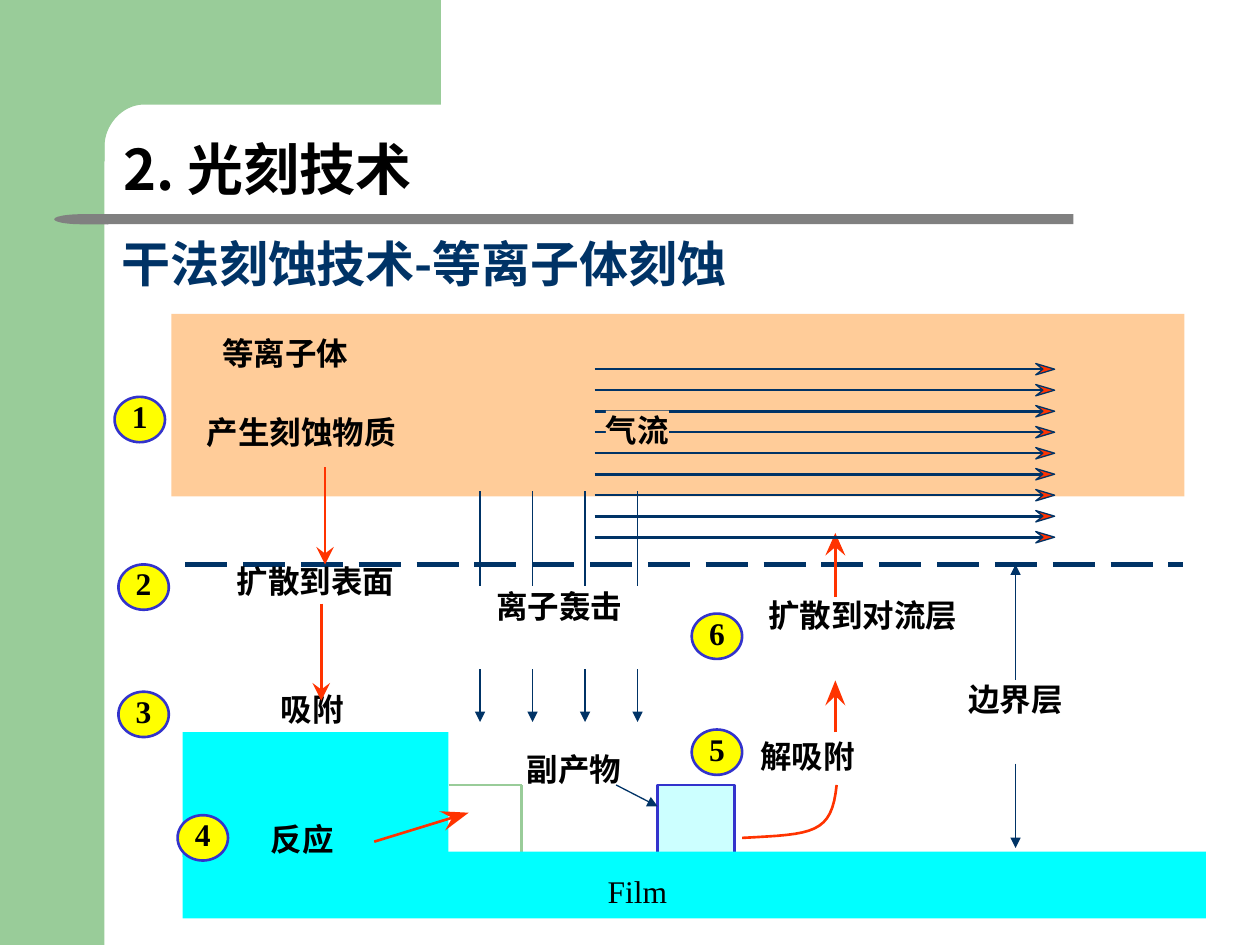
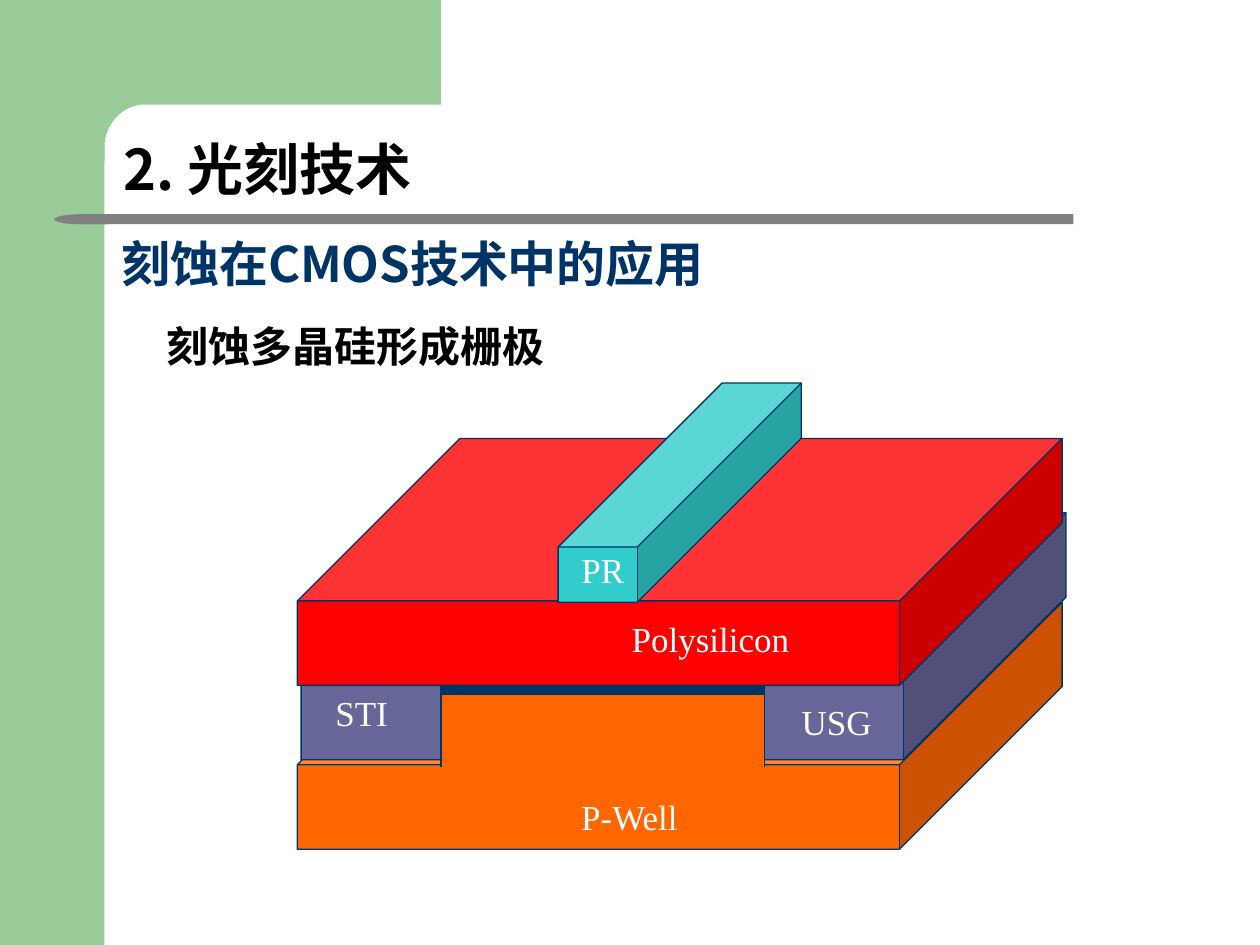
from dataclasses import dataclass
from math import hypot
from lxml.etree import SubElement
from pptx import Presentation
from pptx.dml.color import RGBColor
from pptx.enum.dml import MSO_LINE
from pptx.enum.shapes import MSO_CONNECTOR, MSO_SHAPE
from pptx.enum.text import MSO_ANCHOR, PP_ALIGN
from pptx.oxml.ns import qn
from pptx.util import Inches, Pt

WIDE, HIGH = 1000, 750  # grid columns and rows on the slide
CELL = Inches(10) // WIDE
SANS, SERIF = "Noto Sans CJK SC", "Times New Roman"
GREEN, GRAY, NAVY, RED = "99CC99", "808080", "003366", "FF3300"
PEACH, CYAN, BLUE, YELLOW = "FFCC99", "00FFFF", "3333CC", "FFFF00"
ORANGE, SLATE, BLACK, WHITE = "FF6600", "666699", "000000", "FFFFFF"
HEAD = dict(name=SANS, size=Pt(32), bold=True)
SUB = dict(name=SANS, size=Pt(28), bold=True)
BODY = dict(name=SANS, size=Pt(24), bold=True)
NOTE = dict(name=SANS, size=Pt(18), bold=True)
DIGIT = dict(name=SERIF, size=Pt(18), bold=True)
PLAIN = dict(name=SERIF, size=Pt(18))
LAYER = dict(name=SERIF, size=Pt(20))


def rgb(code):
    return RGBColor.from_string(code)


def paint(shape, fill=None, line=None, width=0.75):
    if fill:
        shape.fill.solid()
        shape.fill.fore_color.rgb = rgb(fill)
    else:
        shape.fill.background()
    if line:
        shape.line.color.rgb = rgb(line)
        shape.line.width = Pt(width)
    else:
        shape.line.fill.background()


def write(shape, words, form, color, align, anchor=MSO_ANCHOR.TOP):
    frame = shape.text_frame
    frame.vertical_anchor = anchor
    para = frame.paragraphs[0]
    para.alignment = align
    run = para.add_run()
    run.text = words
    for key, value in form.items():
        setattr(run.font, key, value)
    run.font.color.rgb = rgb(color)
    SubElement(run.font._element, qn("a:ea"), typeface=SANS)
    return frame


def bend(start, pull, push, end, steps=16):
    """Points along a cubic curve."""
    points = []
    for step in range(steps + 1):
        t = step / steps
        share = ((1 - t) ** 3, 3 * t * (1 - t) ** 2, 3 * t * t * (1 - t), t ** 3)
        points.append(tuple(sum(s * p[axis] for s, p in zip(share, (start, pull, push, end)))
                            for axis in (0, 1)))
    return points


@dataclass
class Pane:
    """A region of a slide; its parts are placed from its top left corner."""
    slide: object
    x: float = 0
    y: float = 0

    def spot(self, x, y):
        return round((self.x + x) * CELL), round((self.y + y) * CELL)

    def shape(self, kind, x, y, w, h, fill=None, line=None, width=0.75):
        item = self.slide.shapes.add_shape(kind, *self.spot(x, y), w * CELL, h * CELL)
        item.shadow.inherit = False
        paint(item, fill, line, width)
        return item

    def rect(self, *args, **form):
        return self.shape(MSO_SHAPE.RECTANGLE, *args, **form)

    def label(self, words, x, y, w, h=30, form=NOTE, color=BLACK, fill=None,
              align=PP_ALIGN.CENTER):
        box = self.slide.shapes.add_textbox(*self.spot(x, y), w * CELL, h * CELL)
        paint(box, fill)
        frame = write(box, words, form, color, align)
        frame.word_wrap = False
        for side in ("left", "top", "right", "bottom"):
            setattr(frame, "margin_" + side, 0)
        return box

    def line(self, start, end, color=NAVY, width=0.75, **tips):
        """Straight line; tips may hold headEnd or tailEnd."""
        item = self.slide.shapes.add_connector(
            MSO_CONNECTOR.STRAIGHT, *self.spot(*start), *self.spot(*end))
        item.line.color.rgb = rgb(color)
        item.line.width = Pt(width)
        SubElement(item._element.spPr, qn("a:effectLst"))
        for tag, kind in tips.items():
            SubElement(item.line._get_or_add_ln(), qn("a:" + tag), type=kind)
        return item

    def trace(self, points, close=True, fill=None, line=None, width=0.75):
        spots = [self.spot(*point) for point in points]
        pen = self.slide.shapes.build_freeform(*spots[0])
        pen.add_line_segments(spots[1:], close=close)
        item = pen.convert_to_shape()
        item.shadow.inherit = False
        paint(item, fill, line, width)

    def dart(self, start, tip, size, half, color=RED, edge=None):
        """Shaft with a notched head."""
        run, rise = tip[0] - start[0], tip[1] - start[1]
        reach = hypot(run, rise)
        run, rise = run / reach, rise / reach

        def back(along, across=0):
            return (tip[0] - along * run - across * rise,
                    tip[1] - along * rise + across * run)

        self.line(start, back(size * 0.45), color, 1.5)
        self.trace([tip, back(size, half), back(size * 0.62), back(size, -half)],
                   fill=RED, line=edge)


def backdrop(pane):
    pane.rect(0, 0, 83, HIGH, fill=GREEN)
    corner = bend((113, 83), (96, 84), (83, 100), (83, 116))
    pane.trace([(50, 0), (350, 0), (350, 83), *corner, (83, 128), (50, 128)], fill=GREEN)
    pane.rect(85, 170, 767, 8, fill=GRAY)
    pane.shape(MSO_SHAPE.FLOWCHART_DELAY, 43, 170, 43, 8, fill=GRAY).rotation = 180


def titles(pane, topic):
    rows = (("2. 光刻技术", 0, 354, 87, HEAD, BLACK), (topic, 102, 583, 55, SUB, NAVY))
    for words, y, w, h, form, color in rows:
        box = pane.shape(MSO_SHAPE.ROUNDED_RECTANGLE, 0, y, w, h)
        box.adjustments[0] = 0.217
        frame = write(box, words, form, color, PP_ALIGN.LEFT, MSO_ANCHOR.BOTTOM)
        frame.word_wrap = True
        frame.paragraphs[0].line_spacing = 0.9


def trench(pane):
    """Open trench, by-product block and the path it leaves by."""
    pane.rect(166, 0, 61, 58, fill="CCFFFF", line=BLUE, width=1.5)
    pane.line((0, 0), (58, 0), GREEN, 1.5)
    pane.line((58, 0), (58, 58), GREEN, 1.5)
    pane.trace(bend((308, 0), (304, 39), (290, 39), (233, 42)),
               close=False, line=RED, width=1.5)
    pane.label("副产物", 41, -28, 117)
    pane.line((133, 0), (166, 17), tailEnd="triangle")


def plasma(pane):
    pane.rect(0, 0, 804, 145, fill=PEACH)
    pane.label("等离子体", 40, 16, 101)
    pane.label("产生刻蚀物质", 24, 79, 158)


def film(pane):
    pane.rect(0, 95, 812, 53, fill=CYAN)
    pane.rect(0, 0, 211, 99, fill=CYAN)
    pane.label("Film", 311, 111, 100, form=PLAIN)
    pane.label("反应", 70, 70, 50)
    pane.dart((152, 87), (227, 64), 22, 8)


def ions(pane):
    for col in range(4):
        x = col * 41.67
        pane.line((x, 0), (x, 75))
        pane.line((x, 141), (x, 183), tailEnd="triangle")
    pane.label("离子轰击", 0, 76, 126)


def flow(pane):
    for row in range(9):
        y = row * 16.67
        pane.dart((0, y), (365, y), 15, 4.5, NAVY, NAVY)
    pane.label("气流", 9, 33, 50, fill=PEACH)


def edge(pane):
    """Boundary layer height."""
    tag = pane.label("边界层", 0, 92, 100, fill=WHITE)
    pane.line((50, 0), (50, 92), headEnd="triangle").end_connect(tag, 0)
    pane.line((50, 158), (50, 225), tailEnd="triangle")


def badges(pane, spots):
    for digit, x, y in spots:
        pane.shape(MSO_SHAPE.OVAL, x, y, 40, 36, fill=YELLOW, line=BLUE, width=1.5)
        pane.label(digit, x, y, 40, form=DIGIT)


def inward(pane):
    """Steps 1 to 4, down to the film."""
    pane.label("扩散到表面", 93, 131, 133)
    pane.label("吸附", 132, 233, 50)
    pane.dart((167, 56), (167, 133), 14, 7)
    pane.dart((164, 164), (164, 241), 14, 7)
    badges(pane, (("1", 0, 0), ("2", 3, 133), ("3", 3, 234), ("4", 50, 332)))


def outward(pane):
    """Steps 5 and 6, back up to the gas stream."""
    pane.label("扩散到对流层", 48, 50, 175)
    pane.label("解吸附", 54, 162, 76)
    pane.dart((114, 51), (114, 0), 18, 8)
    pane.dart((114, 158), (114, 117), 20, 8)
    badges(pane, (("5", 0, 156), ("6", 0, 64)))


def stack(pane):
    """CMOS layers, drawn from the bottom up."""
    def cube(x, y, w, h, adjust, fill):
        pane.shape(MSO_SHAPE.CUBE, x, y, w, h, fill, NAVY).adjustments[0] = adjust

    left, right, top = 114, 371, 240
    cube(0, 174, 607, 196, 0.658, ORANGE)
    cube(3, 103, 607, 196, 0.658, SLATE)
    pane.rect(left, top, right - left, 73, fill=ORANGE)
    pane.rect(left, top, right - left, 7, fill=NAVY, line=NAVY)
    cube(0, 44, 607, 196, 0.658, "FF0000")
    cube(207, 0, 193, 174, 0.748, "33CCCC")
    names = (("P-Well", 178, 327, 171), ("USG", 378, 252, 100), ("STI", -4, 245, 110),
             ("Polysilicon", 185, 186, 286), ("PR", 207, 131, 71))
    for words, x, y, w in names:
        pane.label(words, x, y, w, form=LAYER, color=WHITE)
    for x in (left, right):
        pane.line((x, top + 7), (x, top + 65))


def etching(slide):
    trench(Pane(slide, 356, 623))
    plasma(Pane(slide, 136, 249))
    Pane(slide, 147, 448).line((0, 0), (792, 0), NAVY, 3).line.dash_style = MSO_LINE.LONG_DASH
    film(Pane(slide, 145, 581))
    inward(Pane(slide, 91, 315))
    outward(Pane(slide, 549, 423))
    edge(Pane(slide, 756, 448))
    ions(Pane(slide, 381, 390))
    flow(Pane(slide, 472, 293))


def gate(slide):
    Pane(slide, 132, 254).label("刻蚀多晶硅形成栅极", 0, 0, 468, 61, BODY, align=PP_ALIGN.LEFT)
    stack(Pane(slide, 236, 304))


def main():
    deck = Presentation()
    deck.slide_width, deck.slide_height = WIDE * CELL, HIGH * CELL
    for topic, draw in (("干法刻蚀技术-等离子体刻蚀", etching), ("刻蚀在CMOS技术中的应用", gate)):
        slide = deck.slides.add_slide(deck.slide_layouts[6])
        backdrop(Pane(slide))
        draw(slide)
        titles(Pane(slide, 83, 84), topic)
    deck.save("out.pptx")


if __name__ == "__main__":
    main()
